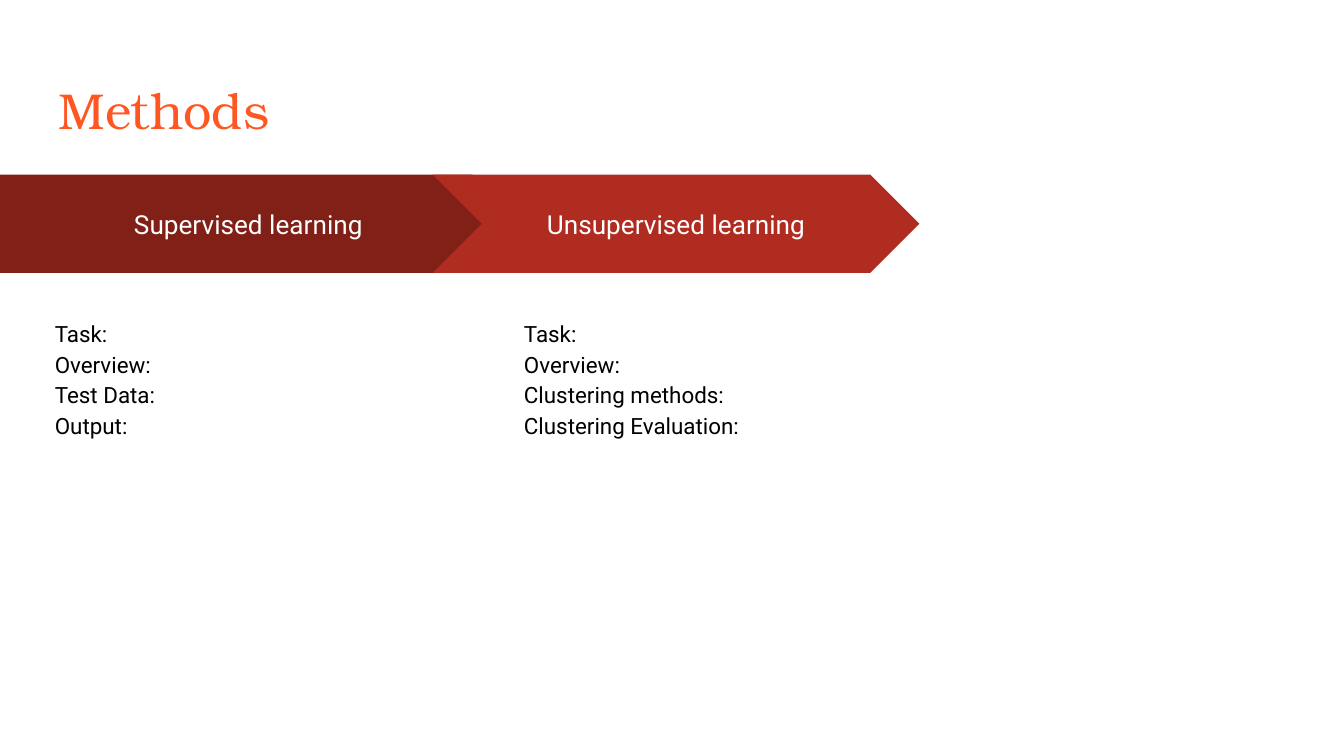
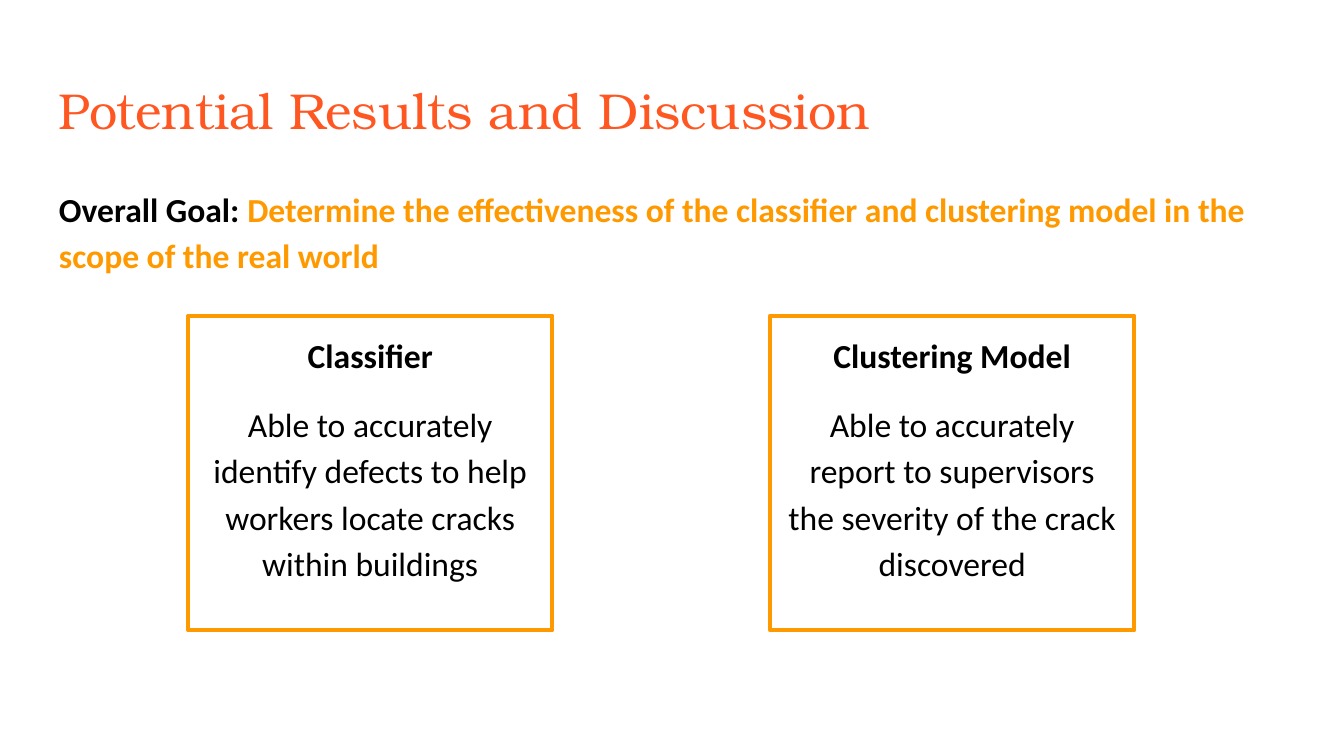
from dataclasses import dataclass

from pptx import Presentation
from pptx.dml.color import RGBColor
from pptx.enum.shapes import MSO_SHAPE
from pptx.enum.text import MSO_ANCHOR, PP_ALIGN
from pptx.shapes.autoshape import Shape
from pptx.slide import Slide
from pptx.text.text import TextFrame
from pptx.util import Inches, Pt

TITLE_ORANGE = RGBColor(0xFF, 0x57, 0x22)
ACCENT_ORANGE = RGBColor(0xFF, 0x99, 0x00)
DARK_RED = RGBColor(0x80, 0x20, 0x17)
RED = RGBColor(0xB0, 0x2C, 0x20)
BLACK = RGBColor(0, 0, 0)
WHITE = RGBColor(0xFF, 0xFF, 0xFF)

TITLE_FONT = "TeX Gyre Bonum"
METHOD_FONT = "Roboto"
RESULT_FONT = "Calibri"

SLIDE_WIDTH = Inches(10)
SLIDE_HEIGHT = SLIDE_WIDTH * 9 // 16
MARGIN = 0.34
CONTENT_WIDTH = 9.32
LINE_SPACING = 1.15
BAND_TOP, BAND_HEIGHT = 1.3, 0.73
CARD_LEFT, CARD_STEP = 1.4, 4.33


@dataclass(frozen=True)
class Span:
    text: str
    font: str
    size: int
    color: RGBColor = BLACK
    bold: bool = False


@dataclass(frozen=True)
class Method:
    name: str
    arrow: MSO_SHAPE
    color: RGBColor
    arrow_left: float
    arrow_width: float
    list_left: float
    list_width: float
    topics: tuple[str, ...]


@dataclass(frozen=True)
class Result:
    name: str
    ability: str


METHODS = (
    Method("Supervised learning", MSO_SHAPE.PENTAGON, DARK_RED, 0, 3.88, 0.31, 2.87,
           ("Task:", "Overview:", "Test Data:", "Output:")),
    Method("Unsupervised learning", MSO_SHAPE.CHEVRON, RED, 3.22, 3.62, 3.8, 2.45,
           ("Task:", "Overview:", "Clustering methods:", "Clustering Evaluation:")),
)
GOAL = (
    Span("Overall Goal: ", RESULT_FONT, 18, bold=True),
    Span("Determine the effectiveness of the classifier and clustering model "
         "in the scope of the real world", RESULT_FONT, 18, ACCENT_ORANGE, True),
)
RESULTS = (
    Result("Classifier", "Able to accurately identify defects to help workers "
                         "locate cracks within buildings"),
    Result("Clustering Model", "Able to accurately report to supervisors the severity "
                               "of the crack discovered"),
)


def write(frame: TextFrame, paragraphs: list[list[Span]], align: PP_ALIGN = PP_ALIGN.LEFT,
          line_spacing: float = LINE_SPACING, gap: float = 0) -> None:
    """Fill the frame with one paragraph per list of spans, gap points apart."""
    frame.word_wrap = True
    frame.margin_left = frame.margin_right = Inches(0.1)
    frame.margin_top = frame.margin_bottom = Inches(0.1)
    for index, spans in enumerate(paragraphs):
        paragraph = frame.add_paragraph() if index else frame.paragraphs[0]
        paragraph.alignment = align
        paragraph.line_spacing = line_spacing
        if index and gap:
            paragraph.space_before = Pt(gap)
        for span in spans:
            run = paragraph.add_run()
            run.text = span.text
            run.font.name = span.font
            run.font.size = Pt(span.size)
            run.font.bold = span.bold
            run.font.color.rgb = span.color


def add_text(page: Slide, left: float, top: float, width: float, height: float,
             paragraphs: list[list[Span]], line_spacing: float = LINE_SPACING) -> None:
    box = page.shapes.add_textbox(Inches(left), Inches(top), Inches(width), Inches(height))
    write(box.text_frame, paragraphs, line_spacing=line_spacing)


def add_plain_shape(page: Slide, kind: MSO_SHAPE, left: float, top: float,
                    width: float, height: float) -> Shape:
    shape = page.shapes.add_shape(kind, Inches(left), Inches(top), Inches(width), Inches(height))
    shape.shadow.inherit = False
    return shape


def add_page(deck: Presentation, title: str) -> Slide:
    page = deck.slides.add_slide(deck.slide_layouts[6])
    page.background.fill.solid()
    page.background.fill.fore_color.rgb = WHITE
    add_text(page, MARGIN, 0.49, CONTENT_WIDTH, 0.63,
             [[Span(title, TITLE_FONT, 27, TITLE_ORANGE)]], line_spacing=1.0)
    return page


def add_method(page: Slide, method: Method) -> None:
    arrow = add_plain_shape(page, method.arrow, method.arrow_left, BAND_TOP,
                            method.arrow_width, BAND_HEIGHT)
    arrow.fill.solid()
    arrow.fill.fore_color.rgb = method.color
    arrow.line.fill.background()
    arrow.text_frame.vertical_anchor = MSO_ANCHOR.MIDDLE
    write(arrow.text_frame, [[Span(method.name, METHOD_FONT, 14, WHITE)]],
          PP_ALIGN.CENTER, line_spacing=1.0)
    add_text(page, method.list_left, 2.25, method.list_width, 2.86,
             [[Span(topic, METHOD_FONT, 12)] for topic in method.topics])


def add_result(page: Slide, left: float, result: Result) -> None:
    card = add_plain_shape(page, MSO_SHAPE.RECTANGLE, left, 2.35, 2.71, 2.34)
    card.fill.background()
    card.line.color.rgb = ACCENT_ORANGE
    card.line.width = Pt(2.25)
    card.text_frame.vertical_anchor = MSO_ANCHOR.TOP
    write(card.text_frame,
          [[Span(result.name, RESULT_FONT, 18, bold=True)],
           [Span(result.ability, RESULT_FONT, 18)]],
          PP_ALIGN.CENTER, gap=12)


def main() -> None:
    deck = Presentation()
    deck.slide_width, deck.slide_height = SLIDE_WIDTH, SLIDE_HEIGHT

    methods_page = add_page(deck, "Methods")
    for method in METHODS:
        add_method(methods_page, method)

    results_page = add_page(deck, "Potential Results and Discussion")
    add_text(results_page, MARGIN, 1.26, CONTENT_WIDTH, 3.49, [list(GOAL)])
    for index, result in enumerate(RESULTS):
        add_result(results_page, CARD_LEFT + index * CARD_STEP, result)

    deck.save("out.pptx")


if __name__ == "__main__":
    main()
